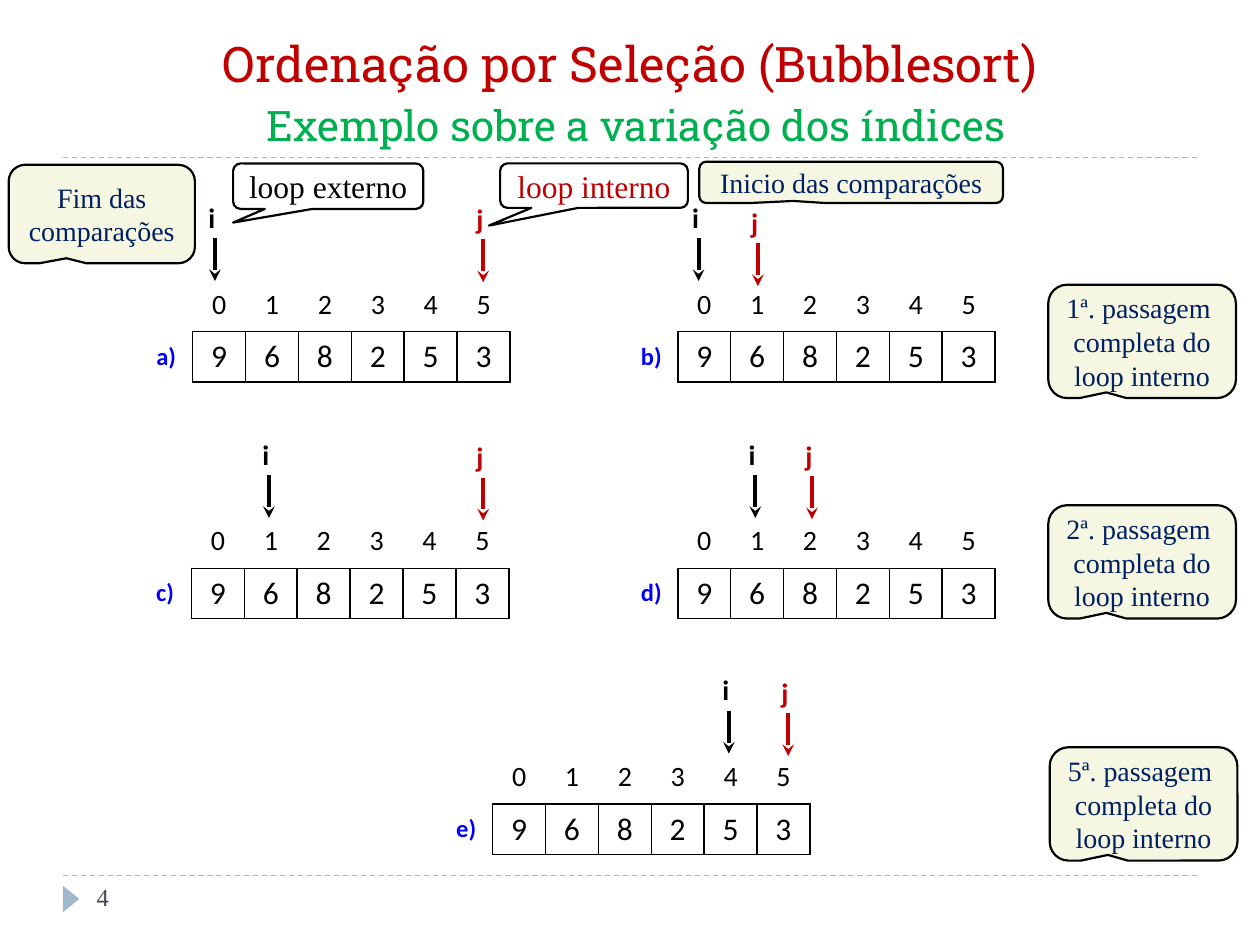
import pptx
import pptx.dml.color
import pptx.enum.dml
import pptx.enum.shapes
import pptx.enum.text
import pptx.oxml
import pptx.oxml.ns
import pptx.util
from pptx.util import Pt

RGBColor = pptx.dml.color.RGBColor
BLACK = RGBColor(0x00, 0x00, 0x00)
WHITE = RGBColor(0xFF, 0xFF, 0xFF)
RED = RGBColor(0xC0, 0x00, 0x00)
GREEN = RGBColor(0x00, 0xB0, 0x50)
BLUE = RGBColor(0x00, 0x00, 0xFF)
NAVY = RGBColor(0x00, 0x20, 0x60)
CREAM = RGBColor(0xF6, 0xF7, 0xE3)
STEEL = RGBColor(0x9F, 0xB8, 0xCD)
SLATE = RGBColor(0x46, 0x46, 0x53)

SERIF = "Times New Roman"
SLAB = "Roboto Slab"
CENTER = pptx.enum.text.PP_ALIGN.CENTER
MIDDLE = pptx.enum.text.MSO_ANCHOR.MIDDLE
TOP = pptx.enum.text.MSO_ANCHOR.TOP
BOTTOM = pptx.enum.text.MSO_ANCHOR.BOTTOM
PLAIN_TABLE_STYLE = "{2D5ABB26-0587-4C30-8999-92F81FD0307C}"

VALUES = ["9", "6", "8", "2", "5", "3"]
COLUMN_WIDTH = 30.24
INDEX_HEIGHT = 26.64
VALUE_HEIGHT = 28.8
MARKER_WIDTH = 32.4

STEPS = [
    ("a)", (79.9, 160.6), (106.6, 111.6), (259.9, 112.3)),
    ("b)", (357.1, 160.6), (383, 111.6), (416.9, 114.5)),
    ("c)", (79.2, 295.9), (137.5, 247), (259.9, 248.4)),
    ("d)", (357.1, 295.9), (415.4, 247), (447.8, 247.7)),
    ("e)", (251.3, 430.6), (400.3, 381.6), (434.2, 383)),
]
PASSES = [("1", 599, 162.7), ("2", 599, 288.7), ("5", 599.8, 427)]


def write_text(frame, text, size, color, font="Calibri", bold=False, align=CENTER):
    for index, line in enumerate(text.split("\n")):
        paragraph = frame.add_paragraph() if index else frame.paragraphs[0]
        paragraph.alignment = align
        run = paragraph.add_run()
        run.text = line
        run.font.size = Pt(size)
        run.font.name = font
        run.font.bold = bold
        run.font.color.rgb = color


def add_text_box(slide, left, top, width, height, anchor):
    frame = slide.shapes.add_textbox(Pt(left), Pt(top), Pt(width), Pt(height)).text_frame
    frame.word_wrap = True
    frame.vertical_anchor = anchor
    return frame


def add_line(slide, start, end, color, width, dashed=False, arrow=False):
    connector = slide.shapes.add_connector(
        pptx.enum.shapes.MSO_CONNECTOR.STRAIGHT, *map(Pt, start + end))
    connector.line.color.rgb = color
    connector.line.width = Pt(width)
    if dashed:
        connector.line.dash_style = pptx.enum.dml.MSO_LINE.DASH
    if arrow:
        tail = pptx.oxml.parse_xml(
            f'<a:tailEnd {pptx.oxml.ns.nsdecls("a")} type="stealth"/>')
        connector.line._get_or_add_ln().append(tail)
    effects = pptx.oxml.parse_xml(f'<a:effectLst {pptx.oxml.ns.nsdecls("a")}/>')
    connector._element.spPr.append(effects)


def add_table(slide, left, top, column_widths, row_heights):
    frame = slide.shapes.add_table(
        len(row_heights), len(column_widths), Pt(left), Pt(top),
        Pt(sum(column_widths)), Pt(sum(row_heights)))
    table = frame.table
    table.first_row = False
    table.horz_banding = False
    table._tbl.tblPr.find(pptx.oxml.ns.qn("a:tableStyleId")).text = PLAIN_TABLE_STYLE
    for column, width in zip(table.columns, column_widths):
        column.width = Pt(width)
    for row, height in zip(table.rows, row_heights):
        row.height = Pt(height)
    return table


def fill_cell(cell, text, size, color, bold=False, anchor=TOP, borders=""):
    cell.fill.background()
    cell.vertical_anchor = anchor
    cell.margin_left = cell.margin_right = Pt(7.2)
    cell.margin_top = cell.margin_bottom = Pt(3.6)
    write_text(cell.text_frame, text, size, color, bold=bold)
    properties = cell._tc.get_or_add_tcPr()
    for position, side in enumerate(borders):
        properties.insert(position, pptx.oxml.parse_xml(
            f'<a:ln{side} {pptx.oxml.ns.nsdecls("a")} w="12700"><a:solidFill>'
            f'<a:srgbClr val="{BLACK}"/></a:solidFill></a:ln{side}>'))


def add_array(slide, label, left, top):
    table = add_table(slide, left, top, [COLUMN_WIDTH] * (len(VALUES) + 1),
                      [INDEX_HEIGHT, VALUE_HEIGHT])
    table.cell(0, 0).fill.background()
    fill_cell(table.cell(1, 0), label, 14, BLUE, bold=True, anchor=MIDDLE, borders="R")
    for index, value in enumerate(VALUES):
        fill_cell(table.cell(0, index + 1), str(index), 16, BLACK, borders="B")
        fill_cell(table.cell(1, index + 1), value, 18, BLACK, anchor=MIDDLE, borders="LRTB")


def add_marker(slide, letter, color, left, top):
    table = add_table(slide, left, top, [MARKER_WIDTH], [INDEX_HEIGHT])
    fill_cell(table.cell(0, 0), letter + " ", 16, color, bold=True)
    center = left + MARKER_WIDTH / 2
    add_line(slide, (center, top + 24.5), (center, top + 49), color, 2.25, arrow=True)


def add_callout(slide, text, left, top, width, height, size=16, color=NAVY,
                fill=CREAM, pointer=(-0.19, 0.45)):
    shape = slide.shapes.add_shape(
        pptx.enum.shapes.MSO_SHAPE.ROUNDED_RECTANGULAR_CALLOUT,
        Pt(left), Pt(top), Pt(width), Pt(height))
    shape.shadow.inherit = False
    shape.adjustments[0], shape.adjustments[1] = pointer
    shape.fill.solid()
    shape.fill.fore_color.rgb = fill
    shape.line.color.rgb = BLACK
    shape.line.width = Pt(1.25)
    frame = shape.text_frame
    frame.word_wrap = True
    frame.vertical_anchor = MIDDLE
    frame.margin_left = frame.margin_right = frame.margin_top = frame.margin_bottom = 0
    write_text(frame, text, size, color, font=SERIF)


def add_title(slide):
    frame = add_text_box(slide, 36, 18, 648, 72, BOTTOM)
    write_text(frame, "Ordenação por Seleção (Bubblesort)", 28, RED, font=SLAB)
    frame.paragraphs[0].add_line_break()
    write_text(frame, " ", 28, RED, font=SLAB)
    write_text(frame, "Exemplo sobre a variação dos índices", 24, GREEN, font=SLAB)


def add_footer(slide):
    triangle = slide.shapes.add_shape(
        pptx.enum.shapes.MSO_SHAPE.ISOSCELES_TRIANGLE, Pt(33.1), Pt(509), Pt(15.1), Pt(9.4))
    triangle.rotation = 90
    triangle.shadow.inherit = False
    triangle.fill.solid()
    triangle.fill.fore_color.rgb = STEEL
    triangle.line.fill.background()
    frame = add_text_box(slide, 48.2, 500.4, 156.2, 28.8, TOP)
    write_text(frame, "4", 14, SLATE, font=SERIF, align=pptx.enum.text.PP_ALIGN.LEFT)


def main():
    presentation = pptx.Presentation()
    presentation.slide_width = Pt(720)
    presentation.slide_height = Pt(540)
    slide = presentation.slides.add_slide(presentation.slide_layouts[6])

    for height in (500.4, 90):
        add_line(slide, (36, height), (684, height), STEEL, 0.75, dashed=True)
    add_title(slide)
    add_footer(slide)

    for label, array_corner, outer_corner, inner_corner in STEPS:
        add_array(slide, label, *array_corner)
        add_marker(slide, "i", BLACK, *outer_corner)
        add_marker(slide, "j", RED, *inner_corner)

    add_callout(slide, "loop interno", 285.8, 93.4, 107.3, 25.4, size=18, color=RED,
                fill=WHITE, pointer=(-0.56, 0.9))
    add_callout(slide, "loop externo", 133.2, 93.4, 108.7, 26, size=18, color=BLACK,
                fill=WHITE, pointer=(-0.5, 0.8))
    for number, left, top in PASSES:
        add_callout(slide, f"{number}ª. passagem \ncompleta do\nloop interno",
                    left, top, 107.3, 64.8)
    add_callout(slide, "Inicio das comparações", 399.6, 92.4, 173.5, 23.6)
    add_callout(slide, "Fim das comparações", 5, 94.2, 106.4, 56.2)

    presentation.save("out.pptx")


if __name__ == "__main__":
    main()
